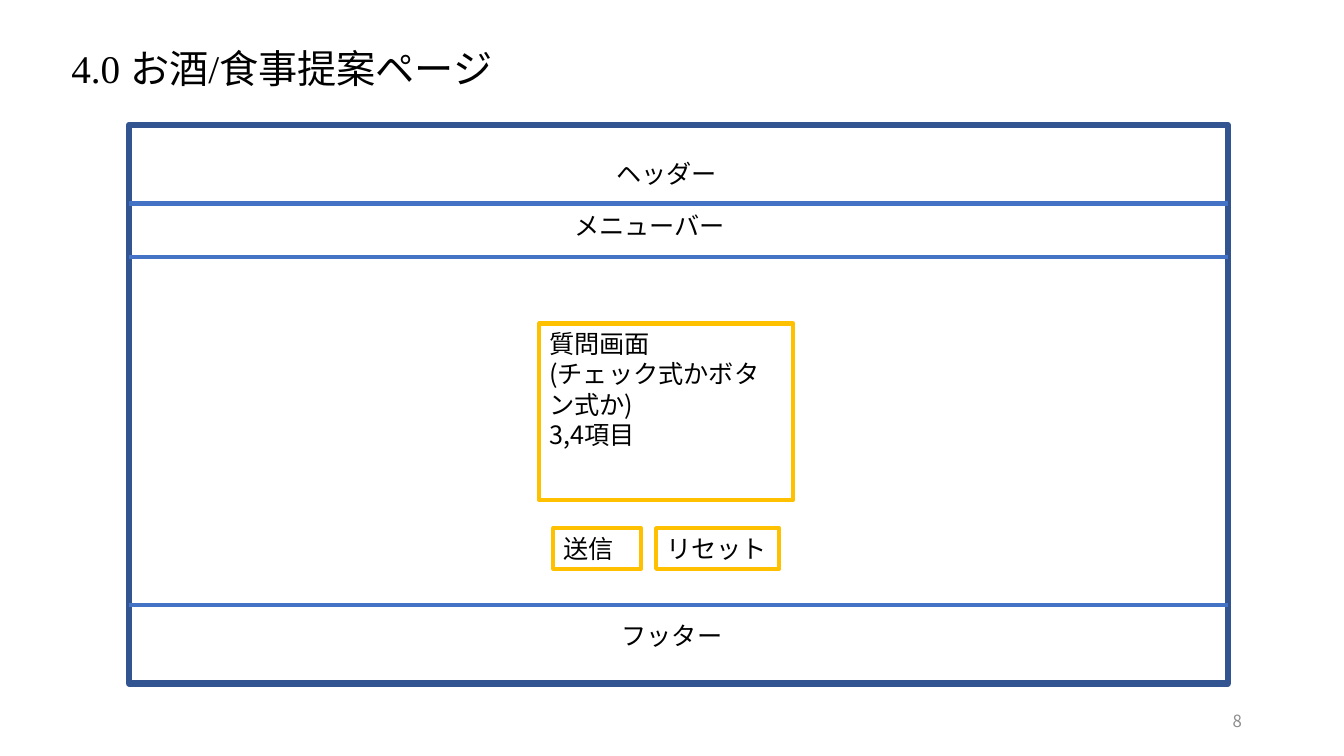
from dataclasses import dataclass

from lxml.etree import SubElement
from pptx import Presentation
from pptx.dml.color import RGBColor as Rgb
from pptx.enum.shapes import MSO_CONNECTOR as Conn, MSO_SHAPE as Kind
from pptx.enum.text import MSO_ANCHOR as Anchor, PP_ALIGN as Align
from pptx.oxml.ns import qn
from pptx.slide import Slide
from pptx.util import Pt

SANS = "Noto Sans CJK JP"
SERIF = "Times New Roman"
BLACK, GRAY = "000000", "8C8C8C"
NAVY, BLUE, GOLD = "325491", "4472C4", "FFC000"
LEFT, TOP, WIDTH, HEIGHT = 92.2, 89.3, 784.8, 398.9


@dataclass
class Box:
    left: float
    top: float
    width: float
    height: float
    lines: tuple[str, ...] = ()
    edge: str = ""
    thick: float = 3
    size: float = 18
    font: str = SANS
    ink: str = BLACK
    align: Align = Align.LEFT
    anchor: Anchor = Anchor.TOP


def color(code: str) -> Rgb:
    return Rgb.from_string(code)


def write(shape, box: Box) -> None:
    frame = shape.text_frame
    frame.word_wrap = True
    frame.vertical_anchor = box.anchor
    for row, line in enumerate(box.lines):
        para = frame.add_paragraph() if row else frame.paragraphs[0]
        para.alignment = box.align
        run = para.add_run()
        run.text = line
        run.font.size = Pt(box.size)
        run.font.name = box.font
        run.font.color.rgb = color(box.ink)
        SubElement(run.font._element, qn("a:ea"), typeface=SANS)


def draw_box(slide: Slide, box: Box) -> None:
    place = Pt(box.left), Pt(box.top), Pt(box.width), Pt(box.height)
    if box.edge:
        shape = slide.shapes.add_shape(Kind.RECTANGLE, *place)
        shape.shadow.inherit = False
        shape.fill.background()
        shape.line.color.rgb = color(box.edge)
        shape.line.width = Pt(box.thick)
    else:
        shape = slide.shapes.add_textbox(*place)
    write(shape, box)


def draw_rule(slide: Slide, top: float) -> None:
    rule = slide.shapes.add_connector(
        Conn.STRAIGHT, Pt(LEFT), Pt(top), Pt(LEFT + WIDTH), Pt(top)
    )
    rule.line.color.rgb = color(BLUE)
    rule.line.width = Pt(3)
    SubElement(rule._element.spPr, qn("a:effectLst"))


def label(left: float, top: float, text: str) -> Box:
    return Box(left, top, 300.2, 29, (text,), align=Align.CENTER)


def button(left: float, width: float, text: str) -> Box:
    return Box(left, 377.3, width, 29, (text,), GOLD)


PAGE = Box(LEFT, TOP, WIDTH, HEIGHT, edge=NAVY, thick=4.5)
RULES = (145.4, 183.6, 432)
PARTS = (
    label(326.2, 109.4, "ヘッダー"),
    label(313.9, 146.9, "メニューバー"),
    label(329.8, 439.2, "フッター"),
    Box(385.2, 231.1, 181.4, 126,
        ("質問画面", "(チェック式かボタン式か)", "3,4項目"), GOLD),
    button(395.3, 62.6, "送信"),
    button(468.7, 87.8, "リセット"),
    Box(678.2, 500.4, 216, 28.8, ("8",), size=12, ink=GRAY,
        align=Align.RIGHT, anchor=Anchor.MIDDLE),
    Box(43.9, 28.1, 341.3, 63.4, ("4.0 お酒/食事提案ページ",),
        size=28, font=SERIF),
)


def main() -> None:
    deck = Presentation()
    deck.slide_width, deck.slide_height = Pt(960), Pt(540)
    slide = deck.slides.add_slide(deck.slide_layouts[6])
    draw_box(slide, PAGE)
    for top in RULES:
        draw_rule(slide, top)
    for part in PARTS:
        draw_box(slide, part)
    deck.save("out.pptx")


if __name__ == "__main__":
    main()
